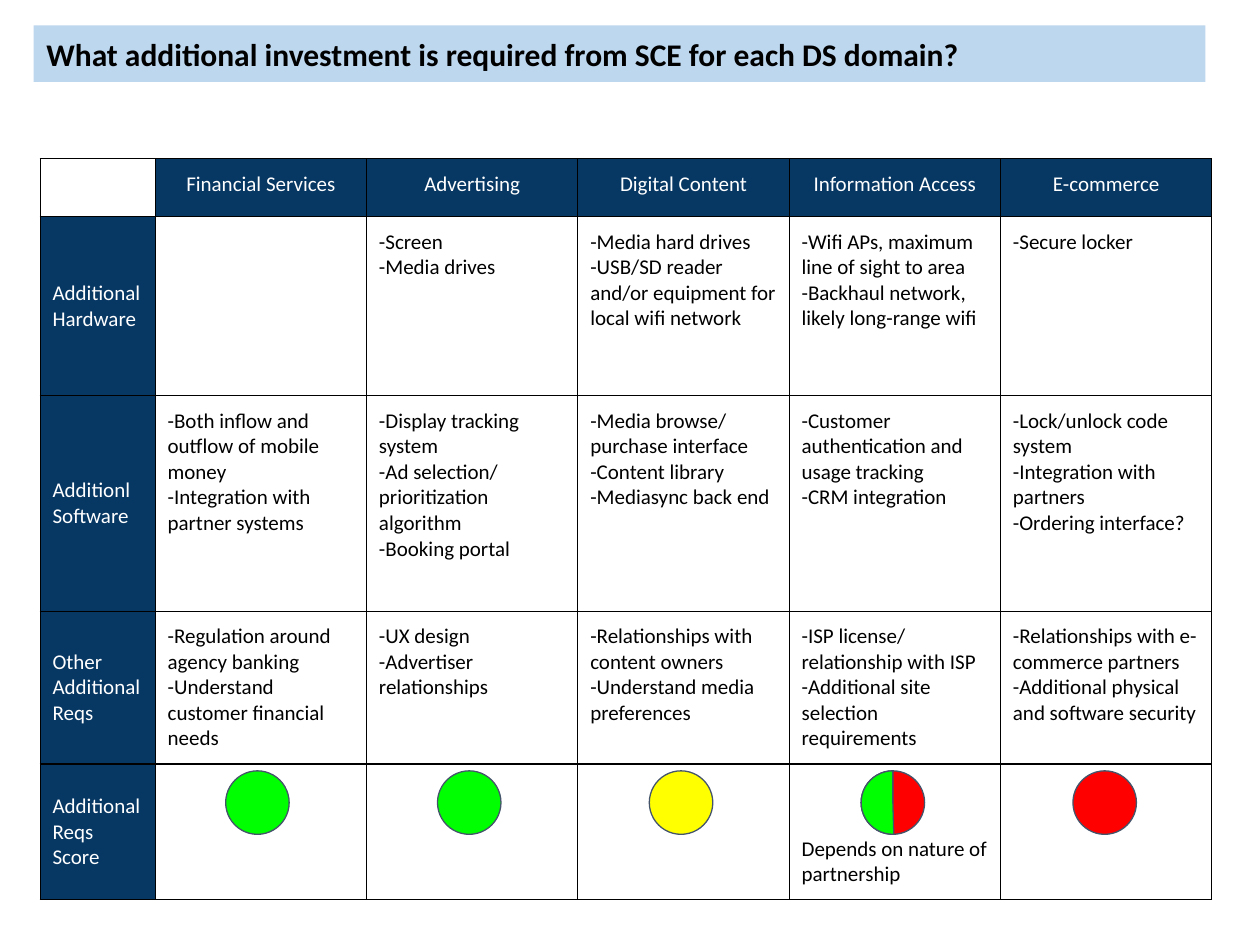
from dataclasses import dataclass

from lxml import etree
from pptx import Presentation, util as u
from pptx.dml.color import RGBColor
from pptx.enum import shapes, text
from pptx.oxml import ns

FONT = "Calibri"
BLACK, WHITE, NAVY, PALE_BLUE, SLATE = "000000", "FFFFFF", "073763", "BDD7EE", "44546A"
GREEN, YELLOW, RED = "00FF00", "FFFF00", "FF0000"

DOMAINS = ["Financial Services", "Advertising", "Digital Content", "Information Access", "E-commerce"]
LABEL_WIDTH, DOMAIN_WIDTH = 2.32, 4.26
SCORE_LEFT, SCORE_TOP, SCORE_STEP, SCORE_SIZE = 4.55, 15.54, 4.27, 1.28


@dataclass
class Requirement:
    label: str
    height: float
    entries: list[str]
    anchor: text.MSO_ANCHOR = text.MSO_ANCHOR.TOP


@dataclass
class Score:
    fill: str
    left_half: str = ""


REQUIREMENTS = [
    Requirement("Additional Hardware", 3.61, [
        "",
        "-Screen\n-Media drives",
        "-Media hard drives\n-USB/SD reader and/or equipment for local wifi network",
        "-Wifi APs, maximum line of sight to area\n-Backhaul network, likely long-range wifi",
        "-Secure locker",
    ]),
    Requirement("Additionl Software", 4.34, [
        "-Both inflow and outflow of mobile money\n-Integration with partner systems",
        "-Display tracking system\n-Ad selection/ prioritization algorithm\n-Booking portal",
        "-Media browse/ purchase interface\n-Content library\n-Mediasync back end",
        "-Customer authentication and usage tracking\n-CRM integration",
        "-Lock/unlock code system\n-Integration with partners\n-Ordering interface?",
    ]),
    Requirement("Other Additional Reqs", 3.08, [
        "-Regulation around agency banking\n-Understand customer financial needs",
        "-UX design\n-Advertiser relationships",
        "-Relationships with content owners\n-Understand media preferences",
        "-ISP license/ relationship with ISP\n-Additional site selection requirements",
        "-Relationships with e-commerce partners\n-Additional physical and software security",
    ]),
    Requirement("Additional Reqs Score", 2.74,
                ["", "", "", "Depends on nature of partnership", ""], text.MSO_ANCHOR.BOTTOM),
]
SCORES = [Score(GREEN), Score(GREEN), Score(YELLOW), Score(RED, left_half=GREEN), Score(RED)]


def color(value: str) -> RGBColor:
    return RGBColor.from_string(value)


def add_title(slide, wording: str) -> None:
    title = slide.shapes.title
    title.left, title.top, title.width, title.height = u.Cm(0.68), u.Cm(0.51), u.Cm(23.62), u.Cm(1.14)
    geometry = etree.SubElement(title.element.spPr, ns.qn("a:prstGeom"), prst="roundRect")
    etree.SubElement(geometry, ns.qn("a:avLst"))
    title.fill.solid()
    title.fill.fore_color.rgb = color(PALE_BLUE)
    frame = title.text_frame
    frame.text = wording
    frame.word_wrap = True
    frame.auto_size = text.MSO_AUTO_SIZE.NONE
    frame.vertical_anchor = text.MSO_ANCHOR.MIDDLE
    paragraph = frame.paragraphs[0]
    paragraph.alignment = text.PP_ALIGN.LEFT
    font = paragraph.font
    font.name, font.size, font.bold = FONT, u.Pt(18), True
    font.color.rgb = color(BLACK)


def add_borders(cell) -> None:
    properties = cell._tc.get_or_add_tcPr()
    for position, side in enumerate(("a:lnL", "a:lnR", "a:lnT", "a:lnB")):
        line = etree.Element(ns.qn(side), w=str(u.Pt(0.75)))
        fill = etree.SubElement(line, ns.qn("a:solidFill"))
        etree.SubElement(fill, ns.qn("a:srgbClr"), val=BLACK)
        properties.insert(position, line)


def fill_cell(cell, wording: str, fill: str = "", anchor=text.MSO_ANCHOR.TOP,
              alignment=text.PP_ALIGN.LEFT) -> None:
    cell.text = wording
    cell.vertical_anchor = anchor
    cell.margin_left = cell.margin_right = cell.margin_top = cell.margin_bottom = u.Cm(0.25)
    if fill:
        cell.fill.solid()
        cell.fill.fore_color.rgb = color(fill)
    else:
        cell.fill.background()
    for paragraph in cell.text_frame.paragraphs:
        paragraph.alignment = alignment
        paragraph.font.name, paragraph.font.size = FONT, u.Pt(12)
        paragraph.font.color.rgb = color(WHITE if fill else BLACK)
    add_borders(cell)


def add_requirements(slide) -> None:
    heights = [1.17] + [requirement.height for requirement in REQUIREMENTS]
    widths = [LABEL_WIDTH] + [DOMAIN_WIDTH] * len(DOMAINS)
    table = slide.shapes.add_table(len(heights), len(widths), u.Cm(0.81), u.Cm(3.2),
                                   u.Cm(sum(widths)), u.Cm(sum(heights))).table
    for row, height in zip(table.rows, heights):
        row.height = u.Cm(height)
    for column, width in zip(table.columns, widths):
        column.width = u.Cm(width)
    fill_cell(table.cell(0, 0), "")
    for column, domain in enumerate(DOMAINS, 1):
        fill_cell(table.cell(0, column), domain, NAVY, alignment=text.PP_ALIGN.CENTER)
    for row, requirement in enumerate(REQUIREMENTS, 1):
        fill_cell(table.cell(row, 0), requirement.label, NAVY, text.MSO_ANCHOR.MIDDLE)
        for column, entry in enumerate(requirement.entries, 1):
            fill_cell(table.cell(row, column), entry, anchor=requirement.anchor)


def add_disc(container, kind: shapes.MSO_SHAPE, left: float, fill: str):
    shape = container.add_shape(kind, u.Cm(left), u.Cm(SCORE_TOP), u.Cm(SCORE_SIZE), u.Cm(SCORE_SIZE))
    shape.shadow.inherit = False
    shape.fill.solid()
    shape.fill.fore_color.rgb = color(fill)
    shape.line.color.rgb = color(SLATE)
    shape.line.width = u.Pt(0.75)
    return shape


def add_score(slide, score: Score, left: float) -> None:
    container = slide.shapes.add_group_shape().shapes if score.left_half else slide.shapes
    add_disc(container, shapes.MSO_SHAPE.OVAL, left, score.fill)
    if score.left_half:
        half = add_disc(container, shapes.MSO_SHAPE.PIE, left, score.left_half)
        half.adjustments[0], half.adjustments[1] = 52.97, 162


def main() -> None:
    presentation = Presentation()
    presentation.slide_width, presentation.slide_height = u.Cm(25.4), u.Cm(19.05)
    slide = presentation.slides.add_slide(presentation.slide_layouts[5])
    add_title(slide, "What additional investment is required from SCE for each DS domain?")
    add_requirements(slide)
    for index, score in enumerate(SCORES):
        add_score(slide, score, SCORE_LEFT + index * SCORE_STEP)
    presentation.save("out.pptx")


if __name__ == "__main__":
    main()
